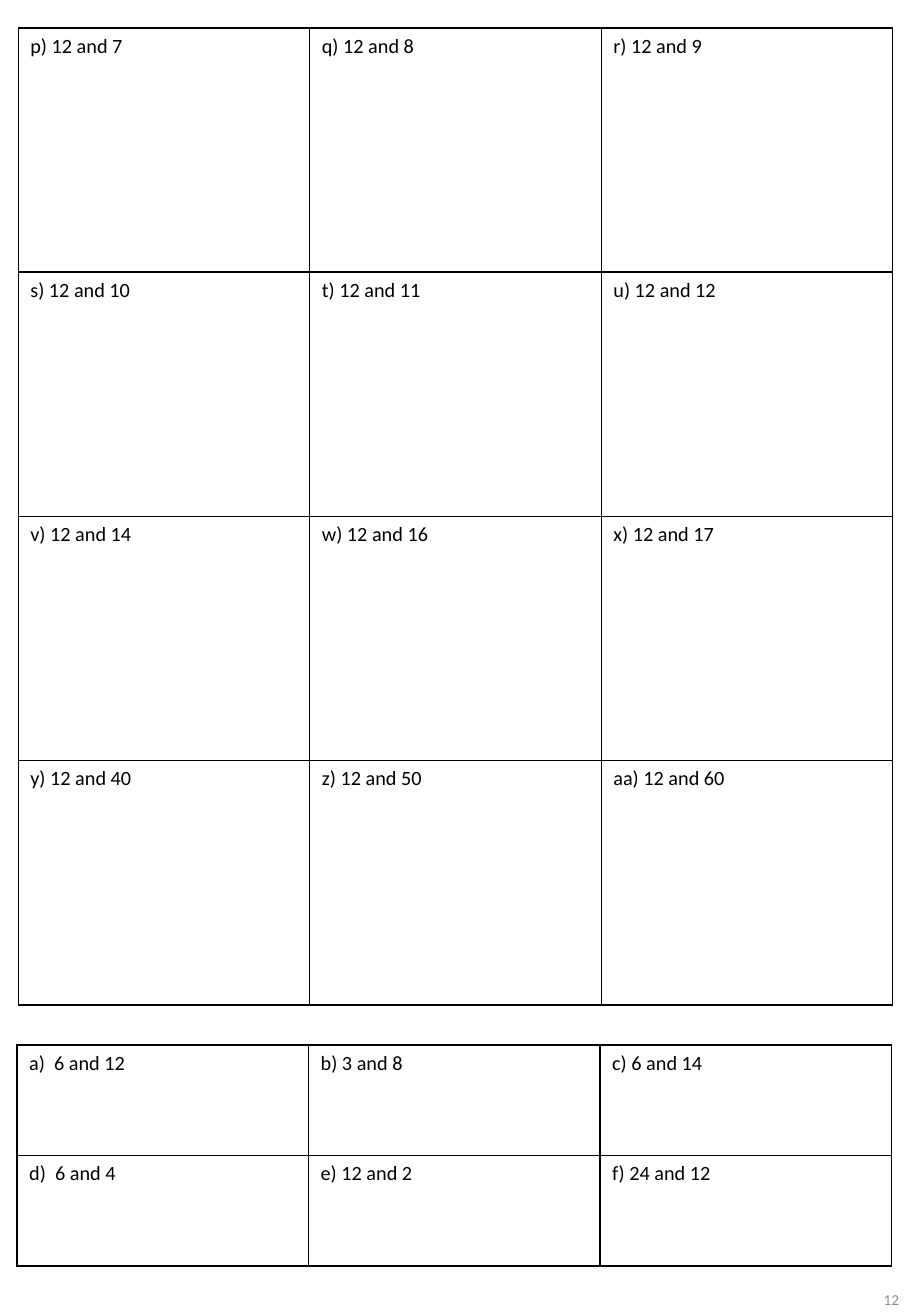
from dataclasses import dataclass

from lxml import etree
from pptx import Presentation
from pptx.dml.color import RGBColor
from pptx.enum.text import MSO_ANCHOR, PP_ALIGN
from pptx.oxml.ns import qn
from pptx.slide import Slide
from pptx.table import _Cell
from pptx.text.text import _Paragraph
from pptx.util import Inches, Pt

BLACK = RGBColor(0x00, 0x00, 0x00)
GREY = RGBColor(0x8C, 0x8C, 0x8C)
MIDDLE = MSO_ANCHOR.MIDDLE
RIGHT = PP_ALIGN.RIGHT

FONT = "Calibri"
COLUMN_WIDTH = 2.4
BORDER_WIDTH = Pt(1)
BORDER_SIDES = ("a:lnL", "a:lnR", "a:lnT", "a:lnB")
BLANK_LAYOUT = 6


@dataclass
class ExerciseGrid:
    left: float
    top: float
    row_height: float
    exercises: list[list[str]]


GRIDS = [
    ExerciseGrid(0.15, 0.23, 2.01, [
        ["p) 12 and 7", "q) 12 and 8", "r) 12 and 9"],
        ["s) 12 and 10", "t) 12 and 11", "u) 12 and 12"],
        ["v) 12 and 14", "w) 12 and 16", "x) 12 and 17"],
        ["y) 12 and 40", "z) 12 and 50", "aa) 12 and 60"],
    ]),
    ExerciseGrid(0.14, 8.6, 0.91, [
        ["a)  6 and 12", "b) 3 and 8", "c) 6 and 14"],
        ["d)  6 and 4", "e) 12 and 2", "f) 24 and 12"],
    ]),
]


def write_text(para: _Paragraph, text: str, size: float, color: RGBColor) -> None:
    span = para.add_run()
    span.text = text
    for name, value in {"name": FONT, "size": Pt(size)}.items():
        setattr(span.font, name, value)
    span.font.color.rgb = color


def add_borders(cell: _Cell) -> None:
    properties = cell._tc.get_or_add_tcPr()
    for position, side in enumerate(BORDER_SIDES):
        line = etree.Element(qn(side), w=str(BORDER_WIDTH))
        fill = etree.SubElement(line, qn("a:solidFill"))
        etree.SubElement(fill, qn("a:srgbClr"), val=str(BLACK))
        properties.insert(position, line)


def add_grid(page: Slide, grid: ExerciseGrid) -> None:
    row_count, column_count = len(grid.exercises), len(grid.exercises[0])
    table = page.shapes.add_table(
        row_count, column_count, Inches(grid.left), Inches(grid.top),
        Inches(column_count * COLUMN_WIDTH), Inches(row_count * grid.row_height),
    ).table
    table.first_row = False
    table.horz_banding = False
    for column in table.columns:
        column.width = Inches(COLUMN_WIDTH)
    for row, exercises in zip(table.rows, grid.exercises):
        row.height = Inches(grid.row_height)
        for cell, exercise in zip(row.cells, exercises):
            cell.fill.background()
            add_borders(cell)
            write_text(cell.text_frame.paragraphs[0], exercise, 12, BLACK)


def add_page_number(page: Slide, number: str) -> None:
    box = page.shapes.add_textbox(Inches(5.81), Inches(10.4), Inches(1.69), Inches(0.58))
    frame = box.text_frame
    for name, value in {"word_wrap": True, "vertical_anchor": MIDDLE}.items():
        setattr(frame, name, value)
    para = frame.paragraphs[0]
    para.alignment = RIGHT
    write_text(para, number, 9, GREY)


def main() -> None:
    deck = Presentation()
    deck.slide_width = Inches(7.5)
    deck.slide_height = Inches(10.83)
    page = deck.slides.add_slide(deck.slide_layouts[BLANK_LAYOUT])
    for grid in GRIDS:
        add_grid(page, grid)
    add_page_number(page, "12")
    deck.save("out.pptx")


if __name__ == "__main__":
    main()
